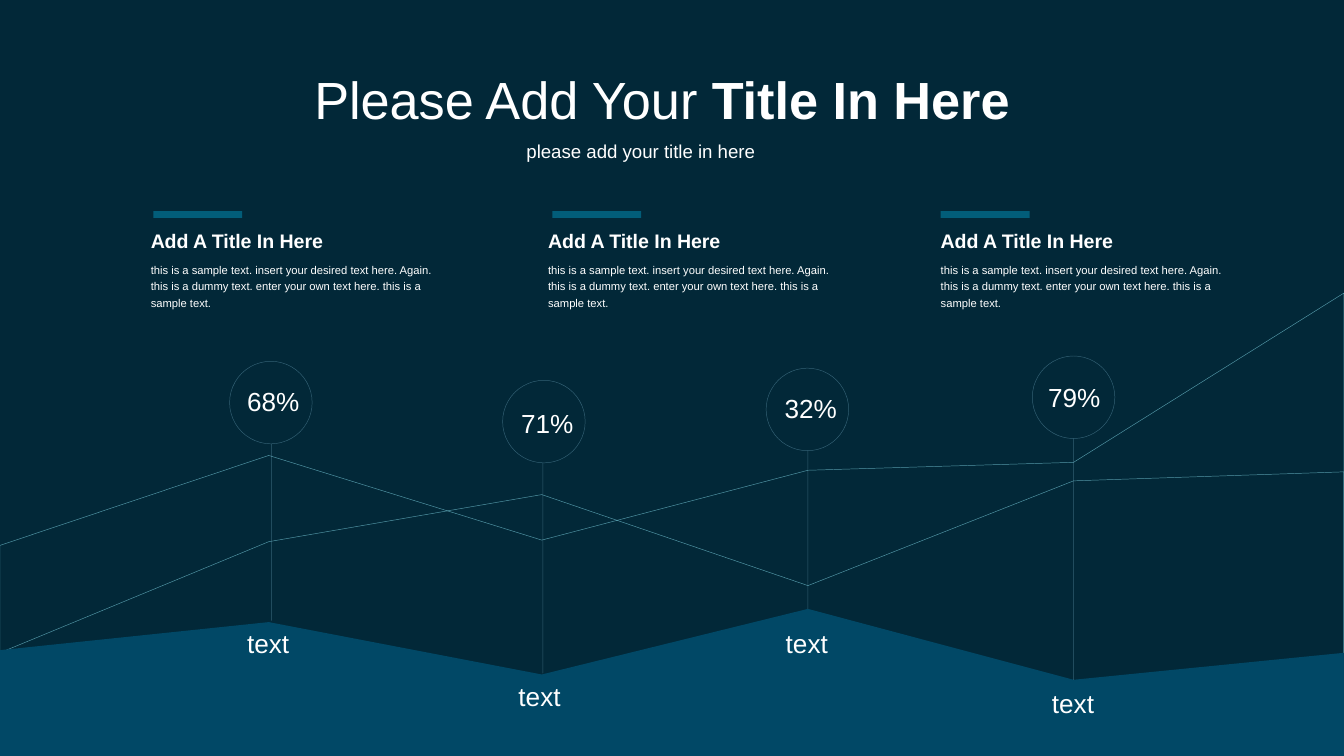
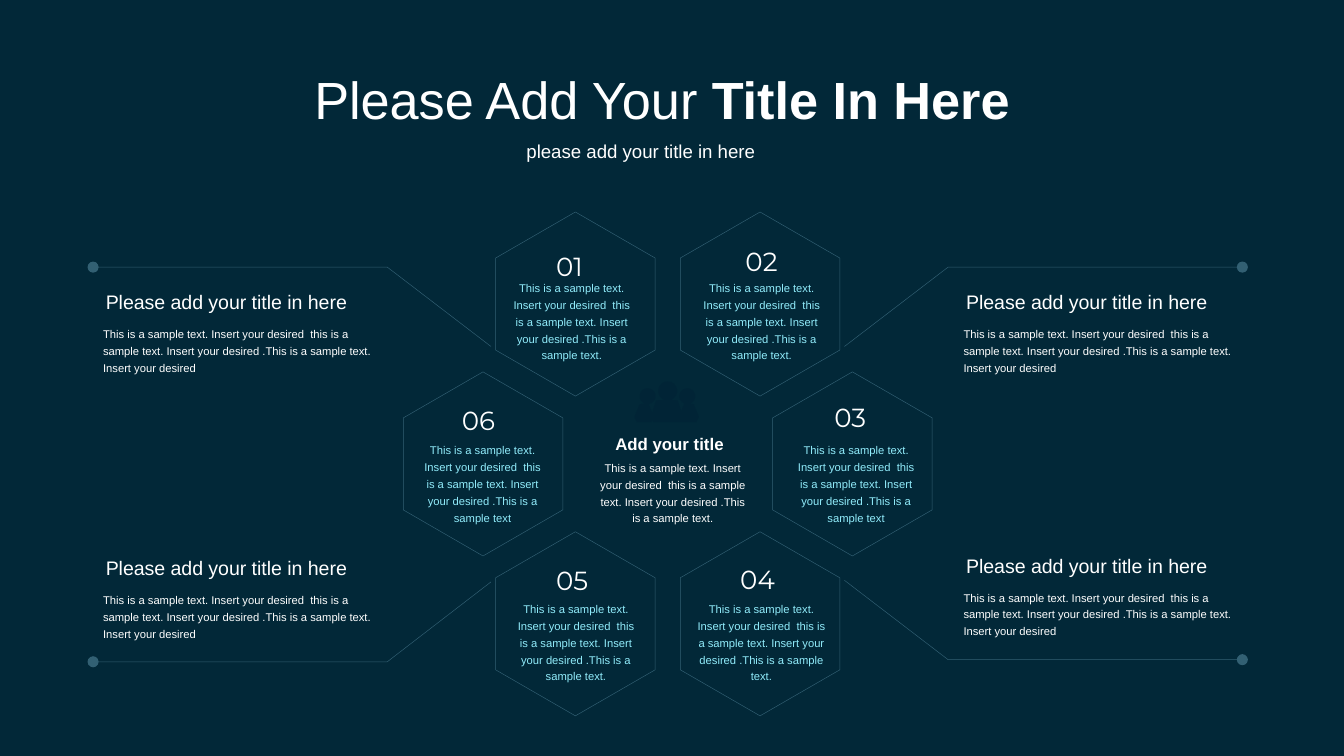
from dataclasses import dataclass
from math import cos, pi, radians, sin
from typing import NamedTuple

from lxml.etree import SubElement
from pptx import Presentation
from pptx.dml.color import RGBColor
from pptx.enum.shapes import MSO_CONNECTOR as Connector, MSO_SHAPE as Preset
from pptx.enum.text import MSO_AUTO_SIZE as AutoSize, PP_ALIGN as Align
from pptx.oxml.ns import qn
from pptx.util import Cm, Pt

COLOURS = {
    "night": "022838",
    "icon": "012436",
    "ground": "014866",
    "bar": "025D79",
    "line": "A4E2FE",
    "aqua": "91ECFB",
    "white": "FFFFFF",
}
WIDTH, HEIGHT = 25.4, 14.29
CENTRE = (12.62, 8.77)
SAMPLE = "This is a sample text. Insert your desired  this is a sample text. Insert your desired .This is a sample text"
Point = tuple[float, float]


@dataclass(frozen=True)
class TextStyle:
    size: float
    colour: str = "white"
    font: str = "Arial"
    bold: bool = False
    spacing: float | None = None
    centred: bool = False
    wrap: bool = False


TITLE = TextStyle(28)
SUBTITLE = TextStyle(10)
VALUE = TextStyle(14)
CAPTION = TextStyle(14, spacing=12)
COLUMN_HEAD = TextStyle(10.5, bold=True, spacing=12, wrap=True)
BODY = TextStyle(6, spacing=9, wrap=True)
NUMBER = TextStyle(14, font="Montserrat")
CELL_BODY = TextStyle(6, colour="aqua", spacing=9, centred=True, wrap=True)
CORE_HEAD = TextStyle(9, bold=True)
CORE_BODY = TextStyle(6, spacing=9, centred=True, wrap=True)
CALLOUT_HEAD = TextStyle(10.5)


class Column(NamedTuple):
    left: float
    bar_left: float


class Marker(NamedTuple):
    value: str
    circle: Point
    value_at: Point
    stem: Point
    caption_at: Point


class Ridge(NamedTuple):
    heights: tuple[float, ...]
    floor: float
    filled: bool = False


class Cell(NamedTuple):
    number_at: Point
    body_at: Point
    body_width: float
    ending: str = "."


class Person(NamedTuple):
    head: Point
    radius: float
    left: float
    right: float


class Callout(NamedTuple):
    side: int
    near: float
    far: float
    text_at: Point


COLUMNS = [Column(2.6, 2.9), Column(10.11, 10.44), Column(17.53, 17.78)]
MARKERS = [
    Marker("68%", (4.34, 6.83), (4.42, 7.16), (5.13, 11.73), (4.42, 11.91)),
    Marker("71%", (9.5, 7.19), (9.6, 7.57), (10.26, 12.73), (9.55, 12.9)),
    Marker("32%", (14.48, 6.96), (14.58, 7.29), (15.27, 11.51), (14.6, 11.91)),
    Marker("79%", (19.51, 6.73), (19.56, 7.09), (20.29, 12.85), (19.63, 13.03)),
]
RIDGE_STOPS = (0, 5.08, 10.24, 15.27, 20.29, WIDTH)
RIDGES = [
    Ridge((12.34, 10.24, 9.35, 11.07, 9.09, 8.92), 15.54),
    Ridge((10.31, 8.61, 10.21, 8.89, 8.74, 5.54), 14.55),
    Ridge((12.29, 11.76, 12.75, 11.51, 12.85, 12.34), HEIGHT, filled=True),
]
CELLS = [
    Cell((10.26, 4.6), (9.37, 5.13), 2.87),
    Cell((13.84, 4.52), (13, 5.13), 2.79),
    Cell((15.52, 7.47), (14.76, 8.2), 2.84, ""),
    Cell((13.74, 10.52), (12.93, 11.2), 2.92),
    Cell((10.26, 10.54), (9.45, 11.2), 2.87),
    Cell((8.48, 7.52), (7.7, 8.2), 2.84, ""),
]
PEOPLE = [
    Person((12.62, 7.39), 0.18, 12.3, 12.91),
    Person((12.24, 7.49), 0.15, 11.99, 12.36),
    Person((12.99, 7.49), 0.15, 12.83, 13.21),
]
CALLOUTS = [
    Callout(1, 6.55, 5.05, (18.01, 5.36)),
    Callout(-1, 6.55, 5.05, (1.75, 5.36)),
    Callout(1, 10.97, 12.47, (18.01, 10.34)),
    Callout(-1, 11, 12.51, (1.75, 10.39)),
]


def colour(name: str) -> RGBColor:
    return RGBColor.from_string(COLOURS[name])


def add_text(page, text: str, at: Point, size: Point, style: TextStyle):
    box = page.shapes.add_textbox(*map(Cm, at + size))
    frame = box.text_frame
    frame.text = text
    frame.word_wrap = style.wrap
    frame.auto_size = AutoSize.SHAPE_TO_FIT_TEXT
    para = frame.paragraphs[0]
    para.alignment = Align.CENTER if style.centred else Align.LEFT
    if style.spacing:
        para.line_spacing = Pt(style.spacing)
    for span in para.runs:
        format_span(span, style)
    return para


def format_span(span, style: TextStyle) -> None:
    span.font.size = Pt(style.size)
    span.font.name = style.font
    span.font.bold = style.bold
    span.font.color.rgb = colour(style.colour)


def set_fill(shape, name: str) -> None:
    shape.shadow.inherit = False
    shape.fill.solid()
    shape.fill.fore_color.rgb = colour(name)
    shape.line.fill.background()


def set_line(shape, name: str = "line", opacity: int = 30, dot_end: bool = False) -> None:
    shape.line.width = Pt(0.25)
    shape.line.fill.solid()
    shape.line.fill.fore_color.rgb = colour(name)
    outline = shape.element.spPr.find(qn("a:ln"))
    tint = outline.find(f".//{qn('a:srgbClr')}")
    SubElement(tint, qn("a:alpha"), val=str(opacity * 1000))
    if dot_end:
        SubElement(outline, qn("a:tailEnd"), type="oval")


def set_outline(shape, name: str = "line", opacity: int = 30, dot_end: bool = False) -> None:
    shape.shadow.inherit = False
    shape.fill.background()
    set_line(shape, name, opacity, dot_end)


def add_outline(page, points: list[Point], close: bool = True):
    corners = [(Cm(x), Cm(y)) for x, y in points]
    builder = page.shapes.build_freeform(*corners[0])
    builder.add_line_segments(corners[1:], close=close)
    return builder.convert_to_shape()


def around(centre: Point, radius: float, degrees: float) -> Point:
    angle = radians(degrees)
    return centre[0] + radius * cos(angle), centre[1] + radius * sin(angle)


def add_page(deck):
    page = deck.slides.add_slide(deck.slide_layouts[6])
    para = add_text(page, "Please Add Your ", (5.69, 1.14), (13.82, 1.45), TITLE)
    strong = para.add_run()
    strong.text = "Title In Here"
    format_span(strong, TITLE)
    strong.font.bold = True
    add_text(page, "please add your title in here", (9.7, 2.51), (4.85, 0.69), SUBTITLE)
    return page


def draw_ridge(page, ridge: Ridge) -> None:
    crest = list(zip(RIDGE_STOPS, ridge.heights))
    shape = add_outline(page, crest + [(WIDTH, ridge.floor), (0, ridge.floor)])
    if ridge.filled:
        set_fill(shape, "ground")
    else:
        set_outline(shape, "aqua", 56)


def draw_marker(page, marker: Marker) -> None:
    diameter = 1.56
    circle = page.shapes.add_shape(Preset.OVAL, *map(Cm, marker.circle + (diameter, diameter)))
    set_outline(circle)
    add_text(page, marker.value, marker.value_at, (1.5, 0.86), VALUE)
    x, bottom = marker.stem
    top = marker.circle[1] + diameter
    stem = page.shapes.add_connector(Connector.STRAIGHT, Cm(x), Cm(top), Cm(x), Cm(bottom))
    set_line(stem)
    SubElement(stem.element.spPr, qn("a:effectLst"))
    add_text(page, "text", marker.caption_at, (1.32, 0.69), CAPTION)


def draw_column(page, column: Column) -> None:
    add_text(page, "Add A Title In Here", (column.left, 4.22), (4.75, 0.69), COLUMN_HEAD)
    add_text(
        page,
        "this is a sample text. insert your desired text here. Again. "
        "this is a dummy text. enter your own text here. this is a sample text.",
        (column.left, 4.78), (6.17, 1.19), BODY,
    )
    bar = page.shapes.add_shape(Preset.RECTANGLE, *map(Cm, (column.bar_left, 3.99, 1.68, 0.13)))
    set_fill(bar, "bar")


def draw_person(page, person: Person) -> None:
    floor, slope = 7.98, 0.1
    neck = person.head[1] + person.radius
    head = [around(person.head, person.radius, 110 + 20 * step) for step in range(17)]
    body = [
        (person.right - slope, neck), (person.right, floor - slope),
        (person.right - slope / 2, floor), (person.left + slope / 2, floor),
        (person.left, floor - slope), (person.left + slope, neck),
    ]
    set_fill(add_outline(page, head + body), "icon")


def draw_cell(page, cell: Cell, index: int) -> None:
    middle = around(CENTRE, 3.49, 60 * index - 120)
    hexagon = [around(middle, 1.74, 30 + 60 * corner) for corner in range(6)]
    set_outline(add_outline(page, hexagon))
    add_text(page, f"{index + 1:02}", cell.number_at, (1.17, 0.86), NUMBER)
    add_text(page, SAMPLE + cell.ending, cell.body_at, (cell.body_width, 1.85), CELL_BODY)


def draw_callout(page, callout: Callout) -> None:
    reach = zip((3.34, 5.3, 10.86), (callout.near, callout.far, callout.far))
    points = [(CENTRE[0] + callout.side * offset, y) for offset, y in reach]
    set_outline(add_outline(page, points, close=False), dot_end=True)
    left, top = callout.text_at
    add_text(page, "Please add your title in here", callout.text_at, (5.16, 0.71), CALLOUT_HEAD)
    add_text(page, f"{SAMPLE}. Insert your desired", (left - 0.05, top + 0.64), (5.72, 1.22), BODY)


def build_ridges(deck) -> None:
    page = add_page(deck)
    for ridge in RIDGES:
        draw_ridge(page, ridge)
    for marker in MARKERS:
        draw_marker(page, marker)
    for column in COLUMNS:
        draw_column(page, column)


def build_hexagons(deck) -> None:
    page = add_page(deck)
    for person in PEOPLE:
        draw_person(page, person)
    add_text(page, "Add your title", (11.38, 8.08), (2.67, 0.64), CORE_HEAD)
    add_text(page, f"{SAMPLE}.", (11.05, 8.53), (3.33, 1.55), CORE_BODY)
    for index, cell in enumerate(CELLS):
        draw_cell(page, cell, index)
    for callout in CALLOUTS:
        draw_callout(page, callout)


def main() -> None:
    deck = Presentation()
    deck.slide_width, deck.slide_height = Cm(WIDTH), Cm(HEIGHT)
    backdrop = deck.slide_master.background.fill
    backdrop.solid()
    backdrop.fore_color.rgb = colour("night")
    build_ridges(deck)
    build_hexagons(deck)
    deck.save("out.pptx")


if __name__ == "__main__":
    main()
